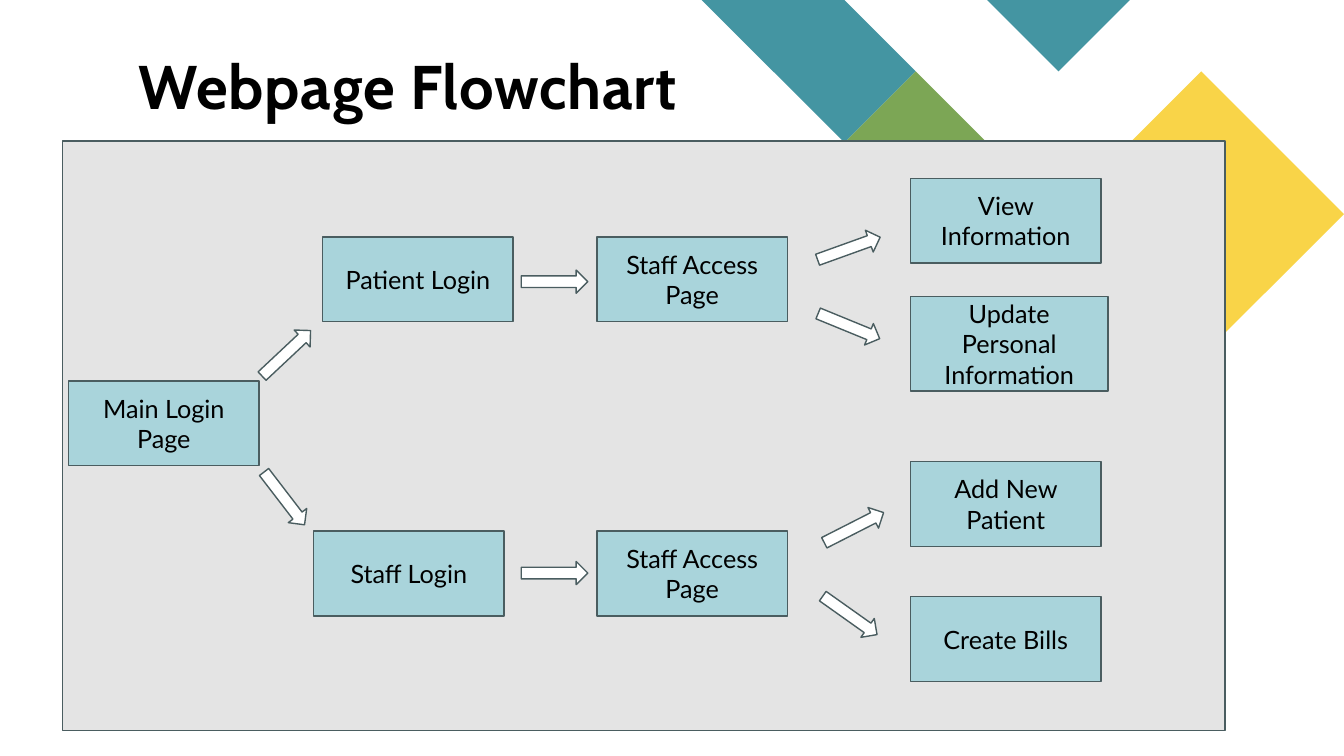
from pptx import Presentation, util as u
from pptx.dml.color import RGBColor
from pptx.enum import shapes, text

COLORS = {"teal": "4495A2", "yellow": "F9D448", "green": "7CA655", "panel": "E4E4E4",
          "box": "A9D4DB", "outline": "4A5D60", "white": "FFFFFF", "black": "000000"}
WIDTH, HEIGHT = 13.33, 7.5

# Diagonal lattice in the top right corner: nine units wide
LATTICE_LEFT = 6.96
UNIT = (WIDTH - LATTICE_LEFT) / 9
DECORATION = [
    ("teal", [[(3, 1), (2, 0), (0, 0), (2, 2)], [(6, 4), (5, 3), (4, 4), (5, 5)]]),
    ("yellow", [[(2, 2), (1, 3), (3, 5), (4, 4)]]),
    ("teal", [[(6, 0), (4, 0), (5, 1)]]),
    ("green", [[(3, 1), (2, 2), (4, 4), (5, 3)]]),
    ("yellow", [[(9, 3), (7, 1), (5, 3), (7, 5)]]),
]

# Flowchart grid: left edges of columns, top edges of rows
COLUMNS = {"main": 0.68, "patient": 3.2, "staff": 3.11, "access": 5.92, "task": 9.03}
ROWS = {"main": 3.78, "patient": 2.35, "staff": 5.27,
        "view": 1.77, "update": 2.94, "add": 4.58, "bills": 5.92}
BOX_SIZE = (1.89, 0.84)
WIDE_BOX_SIZE = (1.96, 0.94)
ARROW_SIZE = (0.66, 0.23)

STEPS = [
    ("Main Login\nPage", "main", "main", BOX_SIZE),
    ("Patient Login", "patient", "patient", BOX_SIZE),
    ("Staff Login", "staff", "staff", BOX_SIZE),
    ("Staff Access Page", "access", "staff", BOX_SIZE),
    ("Create Bills", "task", "bills", BOX_SIZE),
    ("Add New Patient", "task", "add", BOX_SIZE),
    ("Staff Access Page", "access", "patient", BOX_SIZE),
    ("View Information", "task", "view", BOX_SIZE),
    ("Update Personal Information", "task", "update", WIDE_BOX_SIZE),
]
# Left, top and clockwise turn in degrees
ARROWS = [(2.51, 3.39, 316.8), (2.49, 4.83, 52.5), (5.17, 2.68, 0), (5.17, 5.57, 0),
          (8.09, 2.35, 340.2), (8.09, 3.12, 22.3), (8.1, 5.99, 35.4), (8.14, 5.12, 333)]


def color(name):
    return RGBColor.from_string(COLORS[name])


def paint(shape, fill, line=None):
    shape.shadow.inherit = False
    shape.fill.solid()
    shape.fill.fore_color.rgb = color(fill)
    if line:
        shape.line.color.rgb = color(line)
        shape.line.width = u.Pt(1)
    else:
        shape.line.fill.background()


def write(frame, content, font, size, bold=False):
    frame.text = content
    frame.word_wrap = True
    for para in frame.paragraphs:
        para.alignment = text.PP_ALIGN.CENTER
        for span in para.runs:
            span.font.name = font
            span.font.size = u.Pt(size)
            span.font.bold = bold
            span.font.color.rgb = color("black")


def add_lattice_shape(page, fill, outlines):
    builder = page.shapes.build_freeform(*outlines[0][0], scale=u.Inches(UNIT))
    for index, points in enumerate(outlines):
        if index:
            builder.move_to(*points[0])
        builder.add_line_segments(points[1:], close=True)
    paint(builder.convert_to_shape(u.Inches(LATTICE_LEFT), 0), fill)


def add_block(page, kind, left, top, size, fill):
    block = page.shapes.add_shape(kind, *map(u.Inches, (left, top, *size)))
    paint(block, fill, "outline")
    return block


def add_step(page, label, column, row, size):
    box = add_block(page, shapes.MSO_SHAPE.RECTANGLE, COLUMNS[column], ROWS[row], size, "box")
    box.text_frame.vertical_anchor = text.MSO_ANCHOR.MIDDLE
    write(box.text_frame, label, "Lato", 18)


def add_arrow(page, left, top, turn):
    arrow = add_block(page, shapes.MSO_SHAPE.RIGHT_ARROW, left, top, ARROW_SIZE, "white")
    arrow.rotation = turn


def set_title(page, content):
    title = page.shapes.title
    title.left, title.top, title.width, title.height = map(u.Inches, (0.34, 0.45, 7.42, 0.75))
    frame = title.text_frame
    frame.margin_left = frame.margin_right = frame.margin_top = frame.margin_bottom = 0
    frame.auto_size = text.MSO_AUTO_SIZE.NONE
    frame.vertical_anchor = text.MSO_ANCHOR.BOTTOM
    write(frame, content, "Cabin", 44, bold=True)
    para = frame.paragraphs[0]
    para.line_spacing = 0.8
    para.runs[0].font._element.set("spc", "50")
    # Bring the title in front of the decoration
    title.element.getparent().append(title.element)


def main():
    deck = Presentation()
    deck.slide_width, deck.slide_height = u.Inches(WIDTH), u.Inches(HEIGHT)
    page = deck.slides.add_slide(deck.slide_layouts[5])

    # Backdrop
    for fill, outlines in DECORATION:
        add_lattice_shape(page, fill, outlines)
    add_block(page, shapes.MSO_SHAPE.RECTANGLE, 0.62, 1.4, (11.53, 5.85), "panel")
    set_title(page, "Webpage Flowchart")

    # Flowchart
    for step in STEPS:
        add_step(page, *step)
    for arrow in ARROWS:
        add_arrow(page, *arrow)

    deck.save("out.pptx")


if __name__ == "__main__":
    main()
